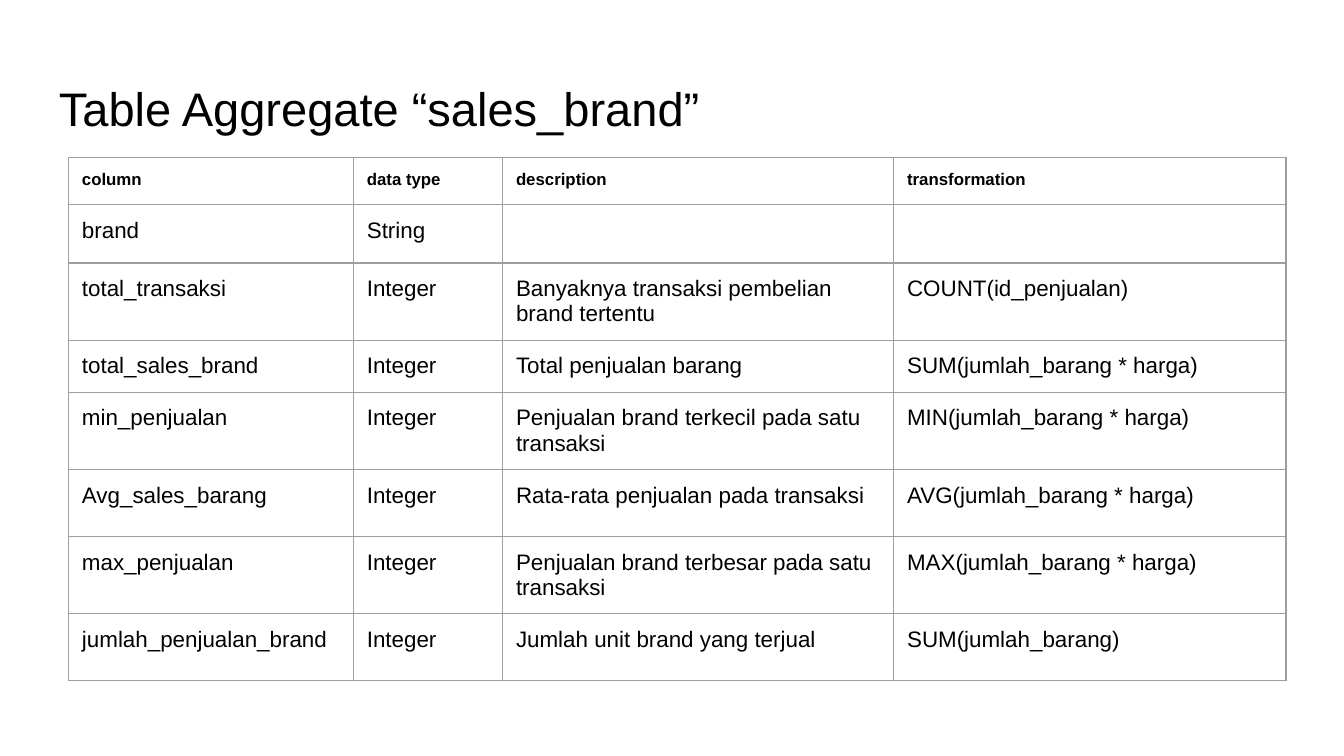
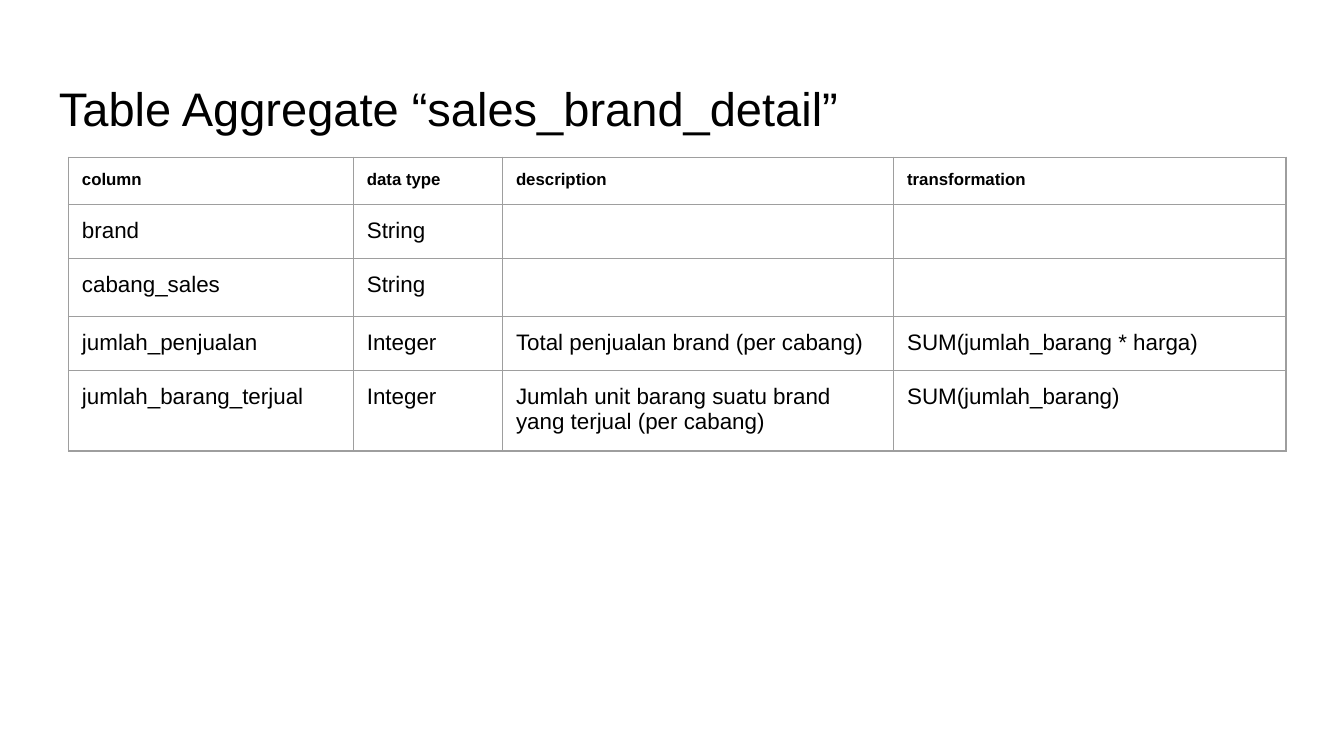
"""Build two slides describing the aggregate sales tables."""
from lxml import etree
from pptx import Presentation
from pptx.dml.color import RGBColor
from pptx.enum import text
from pptx.oxml import ns
from pptx.util import Inches, Pt

FONT = "Arial"
BLACK = "000000"
GRID = "9E9E9E"
INSET = Inches(0.1)
COLUMN_WIDTHS = [2.12, 1.11, 2.91, 2.92]
HEADER = (0.35, "column", "data type", "description", "transformation")

TABLES = {
    "sales_brand": (3.98, [
        (0.35, "brand", "String", "", ""),
        (0.35, "total_transaksi", "Integer",
         "Banyaknya transaksi pembelian brand tertentu", "COUNT(id_penjualan)"),
        (0.35, "total_sales_brand", "Integer",
         "Total penjualan barang", "SUM(jumlah_barang * harga)"),
        (0.35, "min_penjualan", "Integer",
         "Penjualan brand terkecil pada satu transaksi", "MIN(jumlah_barang * harga)"),
        (0.5, "Avg_sales_barang", "Integer",
         "Rata-rata penjualan pada transaksi", "AVG(jumlah_barang * harga)"),
        (0.5, "max_penjualan", "Integer",
         "Penjualan brand terbesar pada satu transaksi", "MAX(jumlah_barang * harga)"),
        (0.5, "jumlah_penjualan_brand", "Integer",
         "Jumlah unit brand yang terjual", "SUM(jumlah_barang)"),
    ]),
    "sales_brand_detail": (2.18, [
        (0.35, "brand", "String", "", ""),
        (0.35, "cabang_sales", "String", "", ""),
        (0.35, "jumlah_penjualan", "Integer",
         "Total penjualan brand (per cabang)", "SUM(jumlah_barang * harga)"),
        (0.35, "jumlah_barang_terjual", "Integer",
         "Jumlah unit barang suatu brand yang terjual (per cabang)", "SUM(jumlah_barang)"),
    ]),
}


def write(frame, content, size, bold=False):
    """Put one formatted paragraph into a text frame."""
    frame.text = content
    paragraph = frame.paragraphs[0]
    for run in paragraph.runs:
        run.font.name = FONT
        run.font.size = Pt(size)
        run.font.bold = bold
        run.font.color.rgb = RGBColor.from_string(BLACK)
    if not content:
        etree.SubElement(paragraph._p, ns.qn("a:endParaRPr"), sz=str(size * 100))


def draw_borders(cell):
    """Outline a cell with the grid colour."""
    properties = cell._tc.get_or_add_tcPr()
    for side in "LRTB":
        line = etree.SubElement(properties, ns.qn(f"a:ln{side}"), w=str(Pt(0.75)))
        fill = etree.SubElement(line, ns.qn("a:solidFill"))
        etree.SubElement(fill, ns.qn("a:srgbClr"), val=GRID)


presentation = Presentation()
presentation.slide_width = Inches(10)
presentation.slide_height = Inches(10) * 9 // 16

for name, (table_height, body) in TABLES.items():
    slide = presentation.slides.add_slide(presentation.slide_layouts[6])
    rows = [HEADER] + body
    last_empty_row = max(index for index, row in enumerate(rows) if "" in row)

    shape = slide.shapes.add_table(
        len(rows), len(COLUMN_WIDTHS), Inches(0.51), Inches(1.17),
        Inches(sum(COLUMN_WIDTHS)), Inches(table_height))
    table = shape.table
    table.first_row = False
    table.horz_banding = False
    for column, width in zip(table.columns, COLUMN_WIDTHS):
        column.width = Inches(width)

    for row_index, (height, *contents) in enumerate(rows):
        table.rows[row_index].height = Inches(height)
        is_header = row_index == 0
        for column_index, content in enumerate(contents):
            cell = table.cell(row_index, column_index)
            cell.margin_left = cell.margin_right = INSET
            cell.margin_top = cell.margin_bottom = INSET
            draw_borders(cell)
            cell.fill.background()
            size = 9 if is_header else 12
            if not content and row_index == last_empty_row:
                size = 14
            write(cell.text_frame, content, size, is_header)
    shape.height = Inches(table_height)

    title = slide.shapes.add_textbox(Inches(0.34), Inches(0.49), Inches(9.32), Inches(0.63))
    frame = title.text_frame
    frame.word_wrap = True
    frame.vertical_anchor = text.MSO_ANCHOR.MIDDLE
    frame.margin_left = frame.margin_right = INSET
    frame.margin_top = frame.margin_bottom = INSET
    write(frame, f"Table Aggregate “{name}”", 25.2)

presentation.save("out.pptx")
